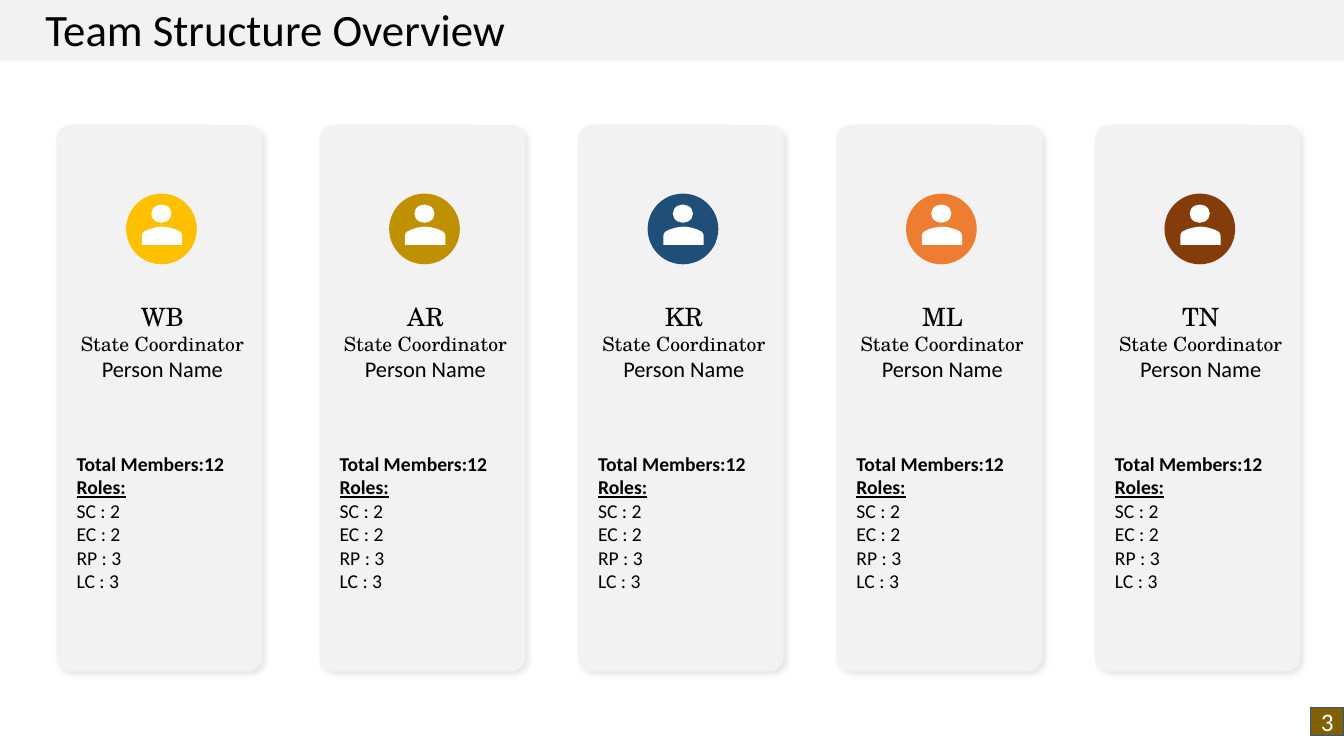
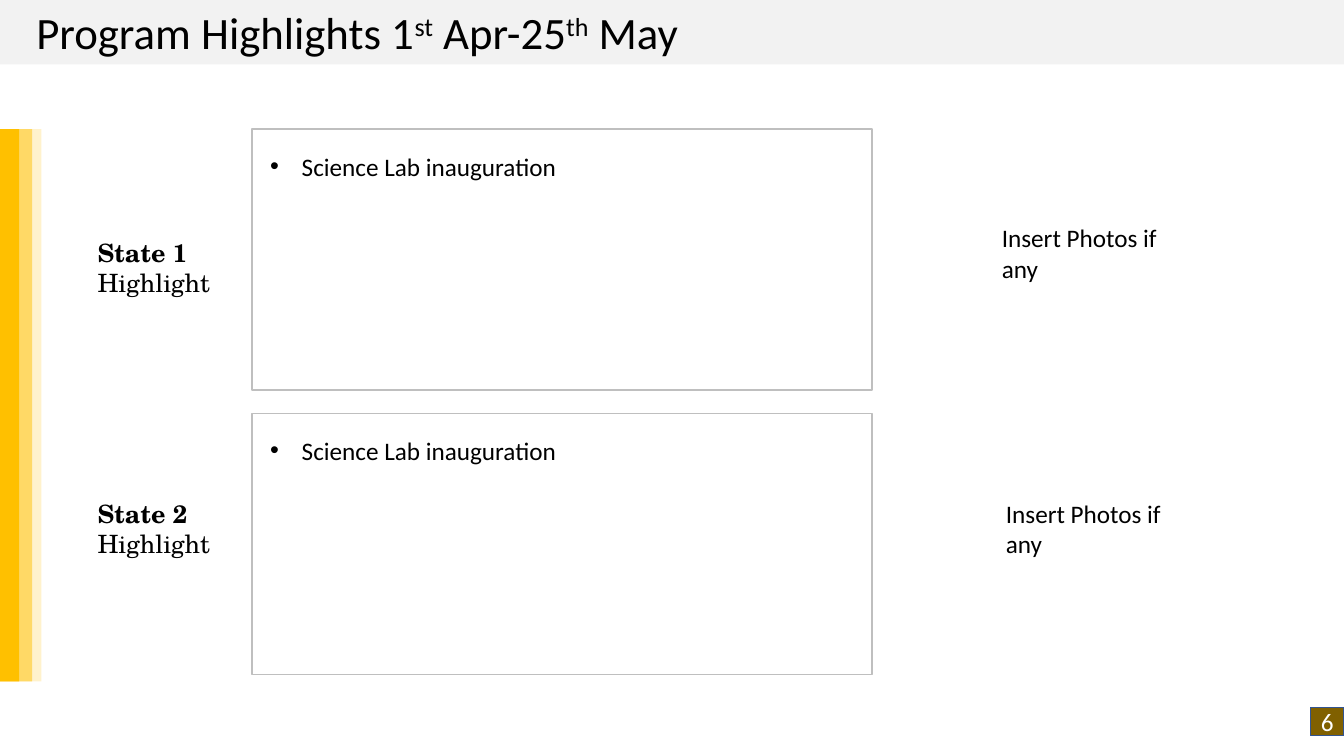
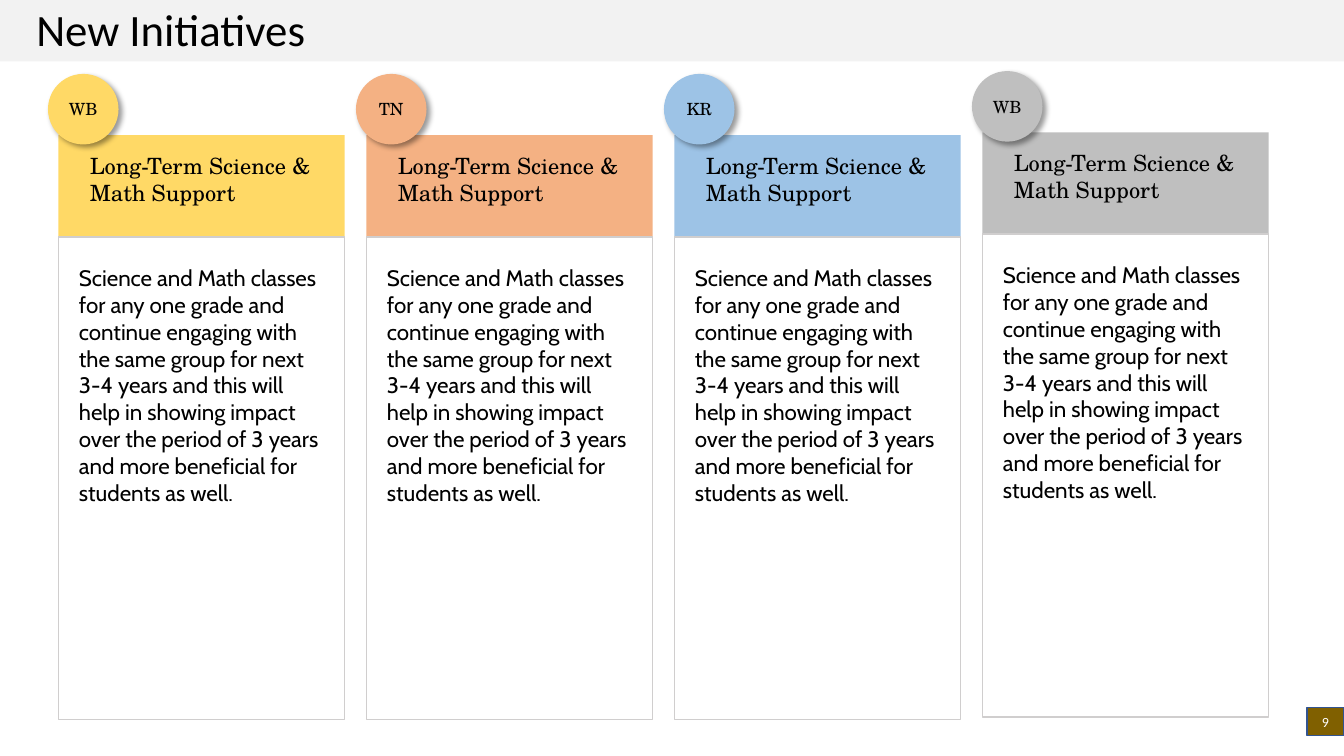
from collections import namedtuple

from lxml.etree import SubElement
from pptx import Presentation
from pptx.dml.color import RGBColor
from pptx.enum.shapes import MSO_SHAPE
from pptx.enum.text import MSO_ANCHOR, MSO_AUTO_SIZE, PP_ALIGN
from pptx.oxml.ns import qn
from pptx.util import Pt

Box = namedtuple("Box", "left top width height")

SANS = "Calibri"
SERIF = "TeX Gyre Schola"
PANEL = "F2F2F2"
WHITE = "FFFFFF"
BLACK = "000000"
TWO_CONTENT, TITLE_ONLY = 3, 5
GROW = {"word_wrap": True, "auto_size": MSO_AUTO_SIZE.SHAPE_TO_FIT_TEXT}
TOP_GROW = {**GROW, "vertical_anchor": MSO_ANCHOR.TOP}
CENTERED = {
    "word_wrap": True,
    "vertical_anchor": MSO_ANCHOR.MIDDLE,
    **{f"margin_{side}": 0 for side in ("left", "top", "right", "bottom")},
}
LEFT = {"alignment": PP_ALIGN.LEFT, "space_before": Pt(0)}
CENTER = {"alignment": PP_ALIGN.CENTER}

ROLES = ("SC : 2", "EC : 2", "RP : 3", "LC : 3")
INITIATIVE = "Long-Term Science & Math Support"
INITIATIVE_TEXT = (
    "Science and Math classes for any one grade and continue engaging with "
    "the same group for next 3-4 years and this will help in showing impact "
    "over the period of 3 years and more beneficial for students as well."
)


def color(hex_value):
    return RGBColor.from_string(hex_value)


def set_values(target, values):
    for name, value in values.items():
        setattr(target, name, value)


def font(size, name=SANS, **extra):
    return {"size": Pt(size), "name": name, **extra}


def within(box, left, top, width, height):
    return Box(box.left + left, box.top + top, width, height)


def to_points(box):
    return {name: Pt(value) for name, value in box._asdict().items()}


def write(shape, paragraphs, frame_values, paragraph_values, text_color=BLACK):
    frame = shape.text_frame
    set_values(frame, frame_values)
    for index, runs in enumerate(paragraphs):
        paragraph = frame.add_paragraph() if index else frame.paragraphs[0]
        set_values(paragraph, paragraph_values)
        for text, font_values in runs:
            run = paragraph.add_run()
            run.text = text
            set_values(run.font, font_values)
            run.font.color.rgb = color(text_color)


def add_text(slide, box, paragraphs, paragraph_values=LEFT):
    shape = slide.shapes.add_textbox(**to_points(box))
    write(shape, paragraphs, GROW, paragraph_values)


def paint(shape, fill=None, line=None):
    shape.shadow.inherit = False
    if fill:
        shape.fill.solid()
        shape.fill.fore_color.rgb = color(fill)
    else:
        shape.fill.background()
    if line:
        shape.line.color.rgb = color(line)
        shape.line.width = Pt(1)
    else:
        shape.line.fill.background()


def add_preset(slide, kind, box, fill=None, line=None):
    shape = slide.shapes.add_shape(kind, **to_points(box))
    paint(shape, fill, line)
    return shape


def add_shadow(shape, hex_value):
    effects = next(shape.element.iter(qn("a:effectLst")))
    shadow = SubElement(effects, qn("a:outerShdw"), blurRad=str(Pt(4)),
                        dist=str(Pt(3)), dir="2700000", algn="tl", rotWithShape="0")
    tint = SubElement(shadow, qn("a:srgbClr"), val=hex_value)
    SubElement(tint, qn("a:alpha"), val="40000")


def add_slide(presentation, layout, title_runs, title_box, number, badge_left=936, badge_size=18):
    slide = presentation.slides.add_slide(presentation.slide_layouts[layout])
    title = slide.shapes.title
    set_values(title, to_points(title_box))
    write(title, [[(text, font(32)) for text in title_runs]], TOP_GROW, LEFT)
    band = add_preset(slide, MSO_SHAPE.RECTANGLE,
                      Box(0, title_box.top, 960, title_box.height), PANEL)
    title.element.addprevious(band.element)
    badge = add_preset(slide, MSO_SHAPE.RECTANGLE,
                       Box(badge_left, 505.5, 960 - badge_left, 20), "806000", "325491")
    write(badge, [[(number, font(badge_size))]], CENTERED, CENTER, WHITE)
    return slide


def person_icon(slide, box, fill):
    add_preset(slide, MSO_SHAPE.OVAL, box, fill)
    add_preset(slide, MSO_SHAPE.OVAL, within(box, 18, 7.8, 14.4, 13), WHITE)
    half = [(0, 13), (0, 6.5), (0.4, 4.9), (1.4, 3.6), (4.8, 1.9), (8.6, 0.8), (11.5, 0.2)]
    outline = half + [(14.4, 0)] + [(28.8 - x, y) for x, y in reversed(half)]
    points = [(Pt(box.left + 11.3 + x), Pt(box.top + 23.6 + y)) for x, y in outline]
    builder = slide.shapes.build_freeform(*points[0])
    builder.add_line_segments(points[1:], close=True)
    paint(builder.convert_to_shape(), WHITE)


def team_card(slide, box, state, fill):
    card = add_preset(slide, MSO_SHAPE.ROUNDED_RECTANGLE, box, PANEL)
    card.adjustments[0] = 0.07
    add_shadow(card, "BFBFBF")
    person_icon(slide, within(box, 49.8, 49, 50.5, 50.5), fill)
    add_text(slide, within(box, 9.8, 122.4, 131.8, 65.5), [
        [(state, font(18, SERIF))],
        [("State Coordinator", font(14, SERIF))],
        [("Person Name", font(16))],
    ], CENTER)
    add_text(slide, within(box, 7.3, 229.7, 137.5, 108.7), [
        [("Total Members:12", font(14, bold=True))],
        [("Roles:", font(14, bold=True, underline=True))],
        *[[(role, font(14))] for role in ROLES],
    ])


def team_slide(presentation):
    slide = add_slide(presentation, TITLE_ONLY, ["Team Structure Overview"],
                      Box(25.2, -2.2, 376, 46), "3")
    cards = [(40.3, "WB", "FFC000"), (228.2, "AR", "BF9000"), (412.8, "KR", "1F4E79"),
             (597.4, "ML", "ED7D31"), (782, "TN", "843C0B")]
    for left, state, fill in cards:
        team_card(slide, Box(left, 89.3, 146.9, 390.2), state, fill)


def highlight_row(slide, body, box, state, label_offset, photo_left, photo_offset):
    add_preset(slide, MSO_SHAPE.RECTANGLE, box, line="BFBFBF")
    set_values(body, to_points(within(box, 5.8, 12, 428.4, 29)))
    write(body, [[("Science Lab inauguration", font(18))]], TOP_GROW, LEFT)
    for properties in body.element.iter(qn("a:pPr")):
        properties.set("marL", str(Pt(22.5)))
        properties.set("indent", str(-Pt(22.5)))
    add_text(slide, within(box, -117.4, label_offset, 160, 51), [
        [(state, font(18, SERIF, bold=True))],
        [("Highlight", font(18, SERIF))],
    ])
    add_text(slide, within(box, photo_left, photo_offset, 145.4, 51),
             [[("Insert Photos if any", font(18))]])


def highlights_slide(presentation):
    slide = add_slide(presentation, TWO_CONTENT,
                      ["Program Highlights 1", "st", " Apr-25", "th", " May"],
                      Box(18.7, 0, 512.6, 46), "6")
    for run in slide.shapes.title.element.iter(qn("a:r")):
        if run.text in ("st", "th"):
            run.find(qn("a:rPr")).set("baseline", "30000")
    for width, fill in [(29.5, "FFF2CC"), (23, "FFD966"), (13.7, "FFC000")]:
        add_preset(slide, MSO_SHAPE.RECTANGLE, Box(0, 92.2, width, 394.5), fill)
    first, second = [shape for shape in slide.placeholders if shape.placeholder_format.idx]
    highlight_row(slide, first, Box(180, 92.2, 442.8, 186.5), "State 1", 73.4, 528.5, 63.4)
    highlight_row(slide, second, Box(180, 295.2, 442.8, 186.5), "State 2", 56.9, 531.4, 56.9)


def initiative_card(slide, box, state, fill):
    add_preset(slide, MSO_SHAPE.RECTANGLE, within(box, 0, 0, box.width, 72.7), fill)
    add_preset(slide, MSO_SHAPE.RECTANGLE,
               within(box, 0, 72.7, box.width, box.height - 72.7), WHITE, "D0CECE")
    circle = add_preset(slide, MSO_SHAPE.OVAL, within(box, -7.5, -43.7, 50.4, 50.4), fill)
    add_shadow(circle, BLACK)
    write(circle, [[(state, font(12, SERIF))]], CENTERED, CENTER)
    add_text(slide, within(box, 7.5, 88.6, 190, 202), [[(INITIATIVE_TEXT, font(16, "Cabin"))]])
    add_text(slide, within(box, 15.3, 8.6, 183, 46), [[(INITIATIVE, font(16, SERIF))]])


def initiatives_slide(presentation):
    slide = add_slide(presentation, TITLE_ONLY, ["New Initiatives"],
                      Box(18.7, -2.2, 263.5, 46), "9", 933.5, 10)
    cards = [("WB", "FFD966", 96.5), ("TN", "F4B183", 96.5),
             ("KR", "9DC3E6", 96.5), ("WB", "BFBFBF", 94.5)]
    for index, (state, fill, top) in enumerate(cards):
        initiative_card(slide, Box(41.8 + 220 * index, top, 204.5, 417.6), state, fill)


def main():
    presentation = Presentation()
    set_values(presentation, {"slide_width": Pt(960), "slide_height": Pt(540)})
    for build in (team_slide, highlights_slide, initiatives_slide):
        build(presentation)
    presentation.save("out.pptx")


if __name__ == "__main__":
    main()
